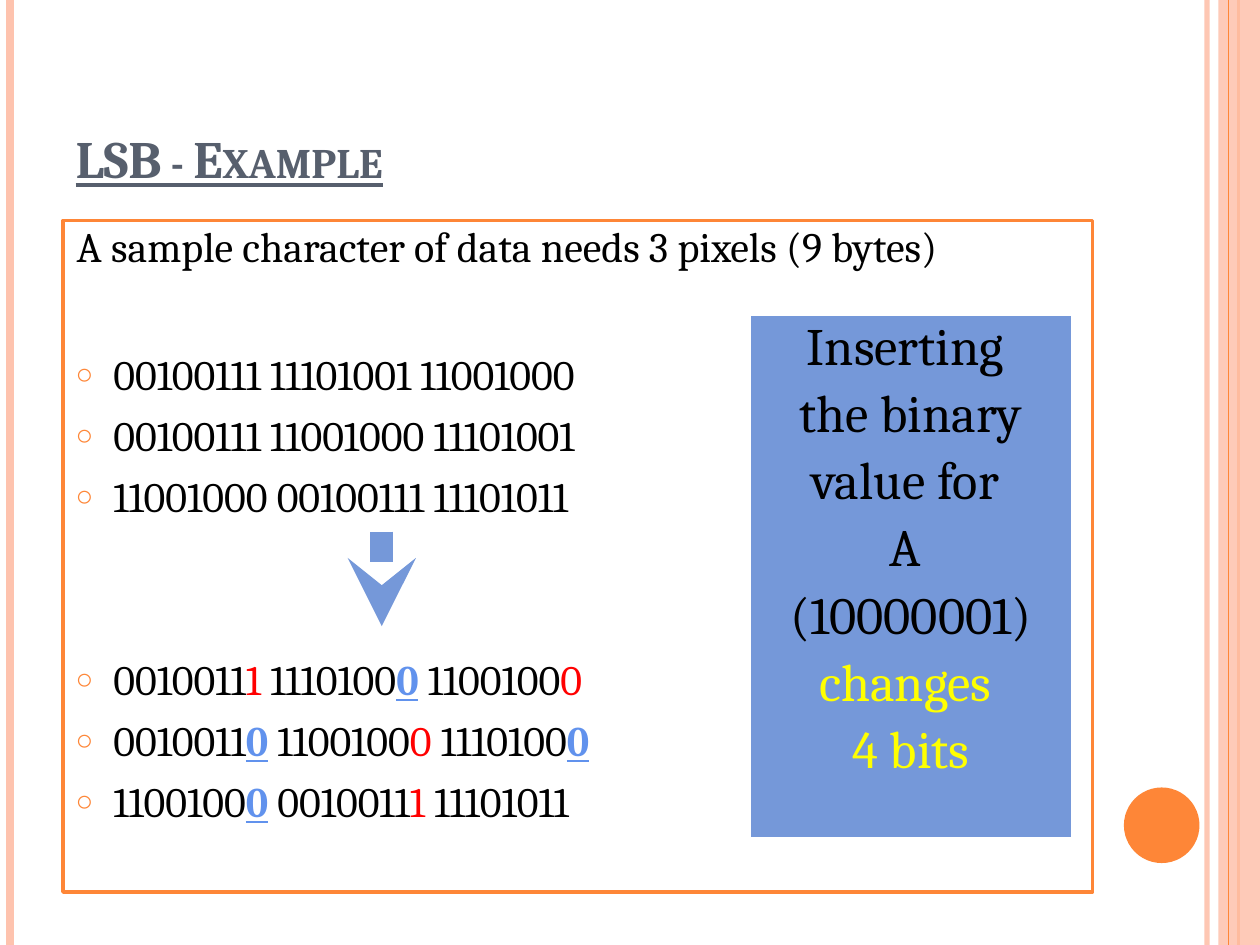
from lxml import etree
from pptx import Presentation
from pptx import util as u
from pptx.dml.color import RGBColor
from pptx.enum import shapes, text
from pptx.oxml.ns import qn

COLORS = {"orange": "FE8637", "peach": "FEC3AE", "slate": "575F6D", "black": "000000",
          "white": "FFFFFF", "red": "FF0000", "yellow": "FFFF00",
          "blue": "7598D9", "changed": "6192ED"}
FONT = "Cambria"
COLUMNS, ROWS = 100, 75  # square grid over the slide
CELL = u.Inches(0.1)
LINE, GAP = 28.9, 6      # height of a 24 pt line and space before it, in points

# Each bit row is a list of (digits, mark): None is plain, kept is red, changed is blue
PLAIN_ROWS = ["00100111 11101001 11001000",
              "00100111 11001000 11101001",
              "11001000 00100111 11101011"]
MARKED_ROWS = [
    [("0010011", None), ("1 ", "red"), ("1110100", None), ("0", "changed"),
     (" 1100100", None), ("0", "red")],
    [("0010011", None), ("0", "changed"), (" 1100100", None), ("0", "red"),
     (" 1110100", None), ("0", "changed")],
    [("1100100", None), ("0", "changed"), (" 0010011", None), ("1", "red"),
     (" 11101011", None)],
]
CALLOUT = [("Inserting ", "black"), ("the binary", "black"), ("value for ", "black"),
           ("A ", "black"), ("(10000001)", "black"), ("changes ", "yellow"),
           ("4 bits", "yellow")]


def grid(*cells):
    return [round(cell * CELL) for cell in cells]


def rgb(name):
    return RGBColor.from_string(COLORS[name])


def place(shape, box):
    shape.left, shape.top, shape.width, shape.height = grid(*box)


def set_font(font, size, color):
    font.name, font.size, font.color.rgb = FONT, u.Pt(size), rgb(color)


def set_alpha(fill_parent, percent):
    color = next(fill_parent.iter(qn("a:srgbClr")))
    etree.SubElement(color, qn("a:alpha")).set("val", str(percent * 1000))


def hang(para):
    props = para._p.get_or_add_pPr()
    props.set("marL", str(u.Inches(0.3)))
    props.set("indent", str(-u.Inches(0.3)))
    return props


def add_bullet(para):
    props = hang(para)
    color = etree.SubElement(props, qn("a:buClr"))
    etree.SubElement(color, qn("a:srgbClr")).set("val", COLORS["orange"])
    etree.SubElement(props, qn("a:buSzPct")).set("val", "70000")
    etree.SubElement(props, qn("a:buChar")).set("char", "○")


def add_block(page, kind, box, fill):
    block = page.shapes.add_shape(kind, *grid(*box))
    block.shadow.inherit = False
    block.fill.solid()
    block.fill.fore_color.rgb = rgb(fill)
    block.line.fill.background()
    return block


def add_vertical(page, column, top, bottom, color, width):
    line = page.shapes.add_connector(shapes.MSO_CONNECTOR.STRAIGHT,
                                     *grid(column, top, column, bottom))
    line.line.color.rgb = rgb(color)
    line.line.width = u.Pt(width)
    etree.SubElement(line._element.spPr, qn("a:effectLst"))
    return line


def add_frame_stripes(page):
    edge = add_vertical(page, 95.8, 0, ROWS, "peach", 3)
    set_alpha(edge._element.spPr, 93)
    add_vertical(page, 0.8, 0, ROWS, "peach", 4.5)
    add_vertical(page, 98.3, 0, ROWS, "orange", 1.5)
    band = add_block(page, shapes.MSO_SHAPE.RECTANGLE, (96.7, 0, 3.3, ROWS), "peach")
    set_alpha(band._element.spPr, 87)
    add_vertical(page, 97.5, 0, ROWS, "orange", 0.75)
    add_block(page, shapes.MSO_SHAPE.OVAL, (89.2, 62.5, 6, 6), "orange")


def fill_title(title, box):
    place(title, box)
    frame = title.text_frame
    frame.text = "LSB - Example"
    frame.auto_size = text.MSO_AUTO_SIZE.NONE
    frame.vertical_anchor = text.MSO_ANCHOR.BOTTOM
    para = frame.paragraphs[0]
    para.alignment = text.PP_ALIGN.LEFT
    set_font(para.font, 30, "slate")
    para.font.bold = para.font.underline = True
    para._p.pPr.find(qn("a:defRPr")).set("cap", "small")


def fill_bits(body, box):
    place(body, box)
    body.fill.solid()
    body.fill.fore_color.rgb = rgb("white")
    body.line.color.rgb = rgb("orange")
    body.line.width = u.Pt(2)
    frame = body.text_frame
    frame.auto_size = text.MSO_AUTO_SIZE.NONE
    frame.margin_top = u.Inches(0.05) + u.Pt(2 * (LINE + GAP))  # room for the heading
    rows = [[(row, None)] for row in PLAIN_ROWS] + MARKED_ROWS
    for index, row in enumerate(rows):
        para = frame.paragraphs[0] if index == 0 else frame.add_paragraph()
        add_bullet(para)
        # the arrow takes two lines between the groups
        skipped = 2 if index == len(PLAIN_ROWS) else 0
        para.space_before = u.Pt(GAP + skipped * (LINE + GAP) if index else 0)
        set_font(para.font, 24, "black")
        for digits, mark in row:
            span = para.add_run()
            span.text = digits
            if mark:
                span.font.color.rgb = rgb(mark)
            if mark == "changed":
                span.font.bold = span.font.underline = True


def add_heading(page, box):
    frame = page.shapes.add_textbox(*grid(*box)).text_frame
    frame.word_wrap = True
    frame.text = "A sample character of data needs 3 pixels (9 bytes)"
    set_font(frame.paragraphs[0].font, 24, "black")


def add_arrow(page, column, top, bottom):
    arrow = add_vertical(page, column, top, bottom, "blue", 13)
    line = arrow._element.spPr.find(qn("a:ln"))
    etree.SubElement(line, qn("a:tailEnd")).set("type", "stealth")


def add_callout(page, box):
    callout = add_block(page, shapes.MSO_SHAPE.RECTANGLE, box, "blue")
    callout.line.color.rgb = rgb("white")
    callout.line.width = u.Pt(2.75)
    frame = callout.text_frame
    frame.word_wrap = True
    frame.vertical_anchor = text.MSO_ANCHOR.TOP
    for index, (words, color) in enumerate(CALLOUT):
        para = frame.paragraphs[0] if index == 0 else frame.add_paragraph()
        para.text = words
        hang(para)
        para.alignment = text.PP_ALIGN.CENTER
        para.line_spacing = 0.9
        para.space_before = u.Pt(GAP)
        set_font(para.font, 30, color)


def main():
    deck = Presentation()
    deck.slide_width, deck.slide_height = grid(COLUMNS, ROWS)
    page = deck.slides.add_slide(deck.slide_layouts[1])
    add_frame_stripes(page)
    fill_title(page.shapes.title, (5, 3, 81.7, 12.5))
    fill_bits(page.placeholders[1], (5, 17.5, 81.7, 53.3))
    add_heading(page, (5.1, 17, 77.2, 16.2))
    add_arrow(page, 30.3, 42.2, 49.7)
    add_callout(page, (59.4, 24.9, 25.8, 41.7))
    deck.save("out.pptx")


if __name__ == "__main__":
    main()
